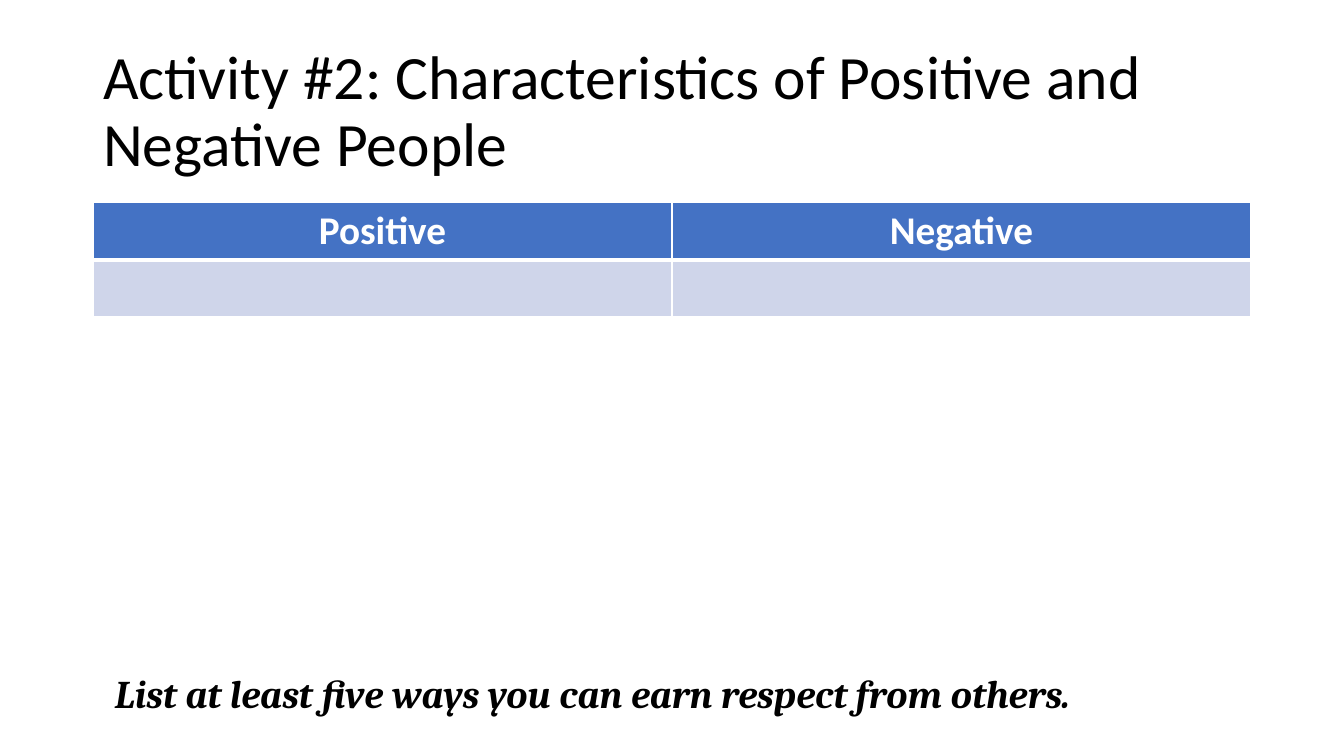
from dataclasses import dataclass

from lxml import etree
from pptx import Presentation
from pptx import util as u
from pptx.dml.color import RGBColor
from pptx.enum import text
from pptx.oxml import ns

PIXEL = 914400 / 100.8


def px(pixels):
    return u.Emu(round(pixels * PIXEL))


@dataclass(frozen=True)
class Theme:
    body_font: str = "Calibri"
    prompt_font: str = "Cambria"
    title_size: int = 44
    text_size: int = 28
    ink: str = "000000"
    white: str = "FFFFFF"
    header_fill: str = "4472C4"
    body_fill: str = "CFD5EA"
    thin_line: int = 1
    thick_line: int = 3


class SlideBuilder:
    def __init__(self, presentation, theme):
        self.theme = theme
        self.slide = presentation.slides.add_slide(presentation.slide_layouts[5])
        self.slide.background.fill.solid()
        self.slide.background.fill.fore_color.rgb = RGBColor.from_string(theme.white)

    def format_text(self, paragraph, font, size, color, bold=False, italic=False):
        for run in paragraph.runs:
            run.font.name = font
            run.font.size = u.Pt(size)
            run.font.bold = bold
            run.font.italic = italic
            run.font.color.rgb = RGBColor.from_string(color)

    def title(self, words, left, top, width, height):
        shape = self.slide.shapes.title
        shape.left, shape.top, shape.width, shape.height = map(px, (left, top, width, height))
        frame = shape.text_frame
        frame.text = words
        frame.word_wrap = True
        frame.auto_size = text.MSO_AUTO_SIZE.NONE
        frame.vertical_anchor = text.MSO_ANCHOR.MIDDLE
        paragraph = frame.paragraphs[0]
        paragraph.alignment = text.PP_ALIGN.LEFT
        paragraph.line_spacing = 0.9
        self.format_text(paragraph, self.theme.body_font, self.theme.title_size, self.theme.ink)

    def cell_borders(self, cell, widths):
        properties = cell._tc.get_or_add_tcPr()
        for index, (side, width) in enumerate(widths.items()):
            line = etree.Element(ns.qn(f"a:ln{side}"), w=str(u.Pt(width)))
            fill = etree.SubElement(line, ns.qn("a:solidFill"))
            etree.SubElement(fill, ns.qn("a:srgbClr"), val=self.theme.white)
            properties.insert(index, line)

    def table(self, headings, body_rows, left, top, column_width, row_height):
        theme = self.theme
        row_count, column_count = body_rows + 1, len(headings)
        table = self.slide.shapes.add_table(
            row_count, column_count, px(left), px(top),
            px(column_width * column_count), px(row_height * row_count)).table
        for column in table.columns:
            column.width = px(column_width)
        for row_index, row in enumerate(table.rows):
            row.height = px(row_height)
            is_header = row_index == 0
            for cell, heading in zip(row.cells, headings):
                cell.fill.solid()
                cell.fill.fore_color.rgb = RGBColor.from_string(
                    theme.header_fill if is_header else theme.body_fill)
                # The thick rule runs between the header and the first body row
                widths = dict.fromkeys("LRTB", theme.thin_line)
                if row_index < 2:
                    widths["B" if is_header else "T"] = theme.thick_line
                self.cell_borders(cell, widths)
                if is_header:
                    cell.text_frame.text = heading
                    paragraph = cell.text_frame.paragraphs[0]
                    paragraph.alignment = text.PP_ALIGN.CENTER
                    self.format_text(paragraph, theme.body_font, theme.text_size,
                                     theme.white, bold=True)

    def prompt(self, words, left, top, width, height):
        shape = self.slide.shapes.add_textbox(*map(px, (left, top, width, height)))
        frame = shape.text_frame
        frame.text = words
        frame.word_wrap = True
        frame.auto_size = text.MSO_AUTO_SIZE.SHAPE_TO_FIT_TEXT
        self.format_text(frame.paragraphs[0], self.theme.prompt_font, self.theme.text_size,
                         self.theme.ink, bold=True, italic=True)


presentation = Presentation()
presentation.slide_width, presentation.slide_height = px(1344), px(756)
builder = SlideBuilder(presentation, Theme())

# Title
builder.title("Activity #2: Characteristics of Positive and Negative People", 93, 40, 1159, 146)

# Table to fill in
builder.table(["Positive", "Negative"], body_rows=1,
              left=93, top=202, column_width=579, row_height=57)

# Closing prompt
builder.prompt("List at least five ways you can earn respect from others.", 105, 664, 1135, 57)

presentation.save("out.pptx")
